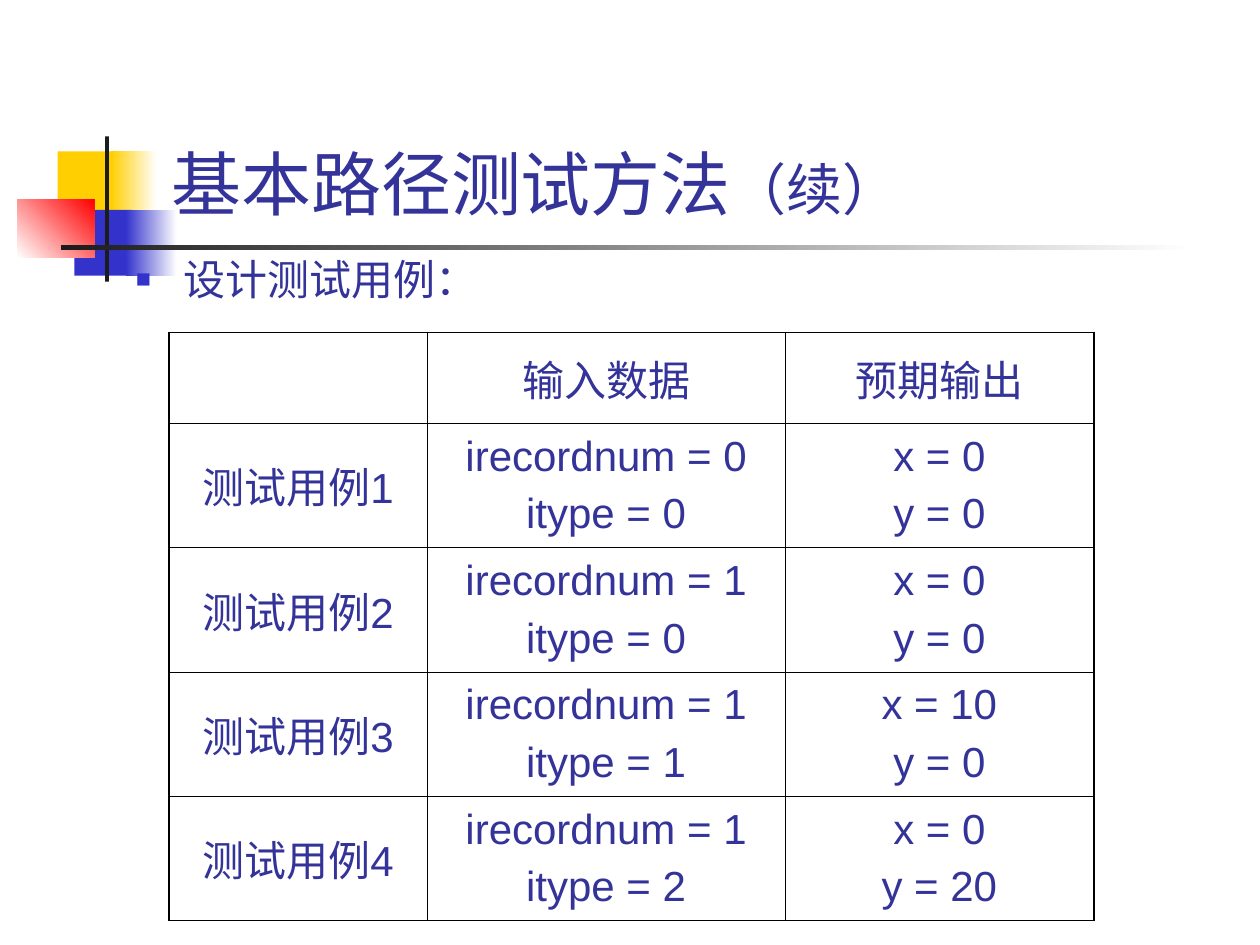
import pptx
import pptx.dml.color
import pptx.enum.shapes
import pptx.enum.text
import pptx.oxml
import pptx.oxml.ns
import pptx.util

Pt = pptx.util.Pt
RGBColor = pptx.dml.color.RGBColor
ANCHOR = pptx.enum.text.MSO_ANCHOR
ALIGN = pptx.enum.text.PP_ALIGN

INDIGO = RGBColor(0x33, 0x33, 0x99)
BLUE = RGBColor(0x33, 0x33, 0xCC)
YELLOW = RGBColor(0xFF, 0xCF, 0x01)
RED = RGBColor(0xFF, 0x00, 0x00)
CHARCOAL = RGBColor(0x1C, 0x1C, 0x1C)
WHITE = RGBColor(0xFF, 0xFF, 0xFF)
BLACK = RGBColor(0x00, 0x00, 0x00)

FONT = "Arial"
OUTER_BORDER, INNER_BORDER = 1.08, 0.45

HEADINGS = ["", "输入数据", "预期输出"]
# irecordnum, itype, x, y
TEST_CASES = [(0, 0, 0, 0), (1, 0, 0, 0), (1, 1, 10, 0), (1, 2, 0, 20)]


def apply(target, **values):
    for name, value in values.items():
        setattr(target, name, value)


def add_text(paragraph, text, size):
    run = paragraph.add_run()
    run.text = text
    apply(run.font, name=FONT, size=Pt(size))
    run.font.color.rgb = INDIGO


def place(placeholder, box, anchor):
    """Move a placeholder to its box, in front of what is already drawn."""
    placeholder.element.getparent().append(placeholder.element)
    left, top, width, height = map(Pt, box)
    apply(placeholder, left=left, top=top, width=width, height=height)
    apply(placeholder.text_frame, vertical_anchor=anchor, word_wrap=True,
          auto_size=pptx.enum.text.MSO_AUTO_SIZE.NONE)
    return placeholder.text_frame.paragraphs[0]


def add_emblem(slide, box):
    left, top = box[:2]
    # Offset, size, start colour, end colour (None for a plain fill), angle
    blocks = [
        ((23, 8.5), (34.5, 37.5), YELLOW, None, 0),
        ((53.5, 8.5), (26, 37.5), YELLOW, WHITE, 0),
        ((32.5, 42), (33, 37.5), BLUE, None, 0),
        ((62, 42), (29, 37.5), BLUE, WHITE, 0),
        ((0, 36), (44, 33), WHITE, RED, 45),
        ((50, 0), (2.3, 83), CHARCOAL, None, 0),
        ((25, 62.3), (648, 2.5), CHARCOAL, WHITE, 0),
    ]
    for (x, y), (width, height), start, end, angle in blocks:
        block = slide.shapes.add_shape(
            pptx.enum.shapes.MSO_SHAPE.RECTANGLE,
            Pt(left + x), Pt(top + y), Pt(width), Pt(height))
        block.shadow.inherit = False
        block.line.fill.background()
        if end is None:
            block.fill.solid()
            block.fill.fore_color.rgb = start
        else:
            block.fill.gradient()
            block.fill.gradient_angle = angle
            for stop, color, position in zip(
                    block.fill.gradient_stops, (start, end), (0, 1)):
                stop.color.rgb = color
                stop.position = position


def add_title(slide, box):
    heading = place(slide.shapes.title, box, ANCHOR.BOTTOM)
    heading.alignment = ALIGN.LEFT
    add_text(heading, "基本路径测试方法", 40)
    add_text(heading, "（续）", 32)


def set_borders(cell, widths):
    properties = cell._tc.get_or_add_tcPr()
    for index, (side, width) in enumerate(widths.items()):
        properties.insert(index, pptx.oxml.parse_xml(
            f'<a:{side} {pptx.oxml.ns.nsdecls("a")} w="{Pt(width)}">'
            f'<a:solidFill><a:srgbClr val="{BLACK}"/></a:solidFill></a:{side}>'))


def add_case_table(slide, box):
    rows = [HEADINGS] + [
        [f"测试用例{number}", f"irecordnum = {record}\nitype = {kind}",
         f"x = {x}\ny = {y}"]
        for number, (record, kind, x, y) in enumerate(TEST_CASES, 1)]
    cases = slide.shapes.add_table(
        len(rows), len(HEADINGS), *map(Pt, box)).table
    apply(cases, first_row=False, horz_banding=False)

    # The first two columns and the header are fixed; the rest share the box
    label_width, input_width, header_height = 147.6, 204.5, 52
    widths = [label_width, input_width, box[2] - label_width - input_width]
    case_height = (box[3] - header_height) / len(TEST_CASES)
    for column, width in zip(cases.columns, widths):
        column.width = Pt(width)
    for index, row in enumerate(cases.rows):
        row.height = Pt(case_height if index else header_height)

    for r, row in enumerate(rows):
        for c, content in enumerate(row):
            cell = cases.cell(r, c)
            cell.vertical_anchor = ANCHOR.MIDDLE
            cell.fill.background()
            edges = {"lnL": c == 0, "lnR": c == len(HEADINGS) - 1,
                     "lnT": r == 0, "lnB": r == len(rows) - 1}
            set_borders(cell, {side: OUTER_BORDER if outer else INNER_BORDER
                               for side, outer in edges.items()})
            if not content:
                continue
            for index, line in enumerate(content.split("\n")):
                frame = cell.text_frame
                paragraph = frame.add_paragraph() if index else frame.paragraphs[0]
                paragraph.alignment = ALIGN.CENTER
                if index:
                    paragraph.space_before = Pt(6)
                add_text(paragraph, line, 24)


def add_body(slide, box):
    item = place(slide.placeholders[1], box, ANCHOR.TOP)
    apply(item, line_spacing=1.05, space_before=Pt(0), alignment=ALIGN.LEFT)
    # Small square bullet with a hanging indent
    properties = item._p.get_or_add_pPr()
    properties.set("marL", str(Pt(27)))
    properties.set("indent", str(Pt(-27)))
    for bullet in (f'buClr {{}}><a:srgbClr val="{BLUE}"/></a:buClr>',
                   'buSzPct {} val="60000"/>',
                   f'buFont {{}} typeface="{FONT}"/>',
                   'buChar {} char="■"/>'):
        properties.append(pptx.oxml.parse_xml(
            "<a:" + bullet.format(pptx.oxml.ns.nsdecls("a"))))
    add_text(item, "设计测试用例：", 24)


def main():
    deck = pptx.Presentation()
    apply(deck, slide_width=Pt(720), slide_height=Pt(540))
    slide = deck.slides.add_slide(deck.slide_layouts[1])
    add_emblem(slide, (10, 78, 673, 83))
    add_title(slide, (90.7, 16.5, 613.5, 115.2))
    add_case_table(slide, (96.5, 190, 528.5, 336))
    add_body(slide, (70.5, 139.7, 613.5, 380))
    deck.save("out.pptx")


if __name__ == "__main__":
    main()
